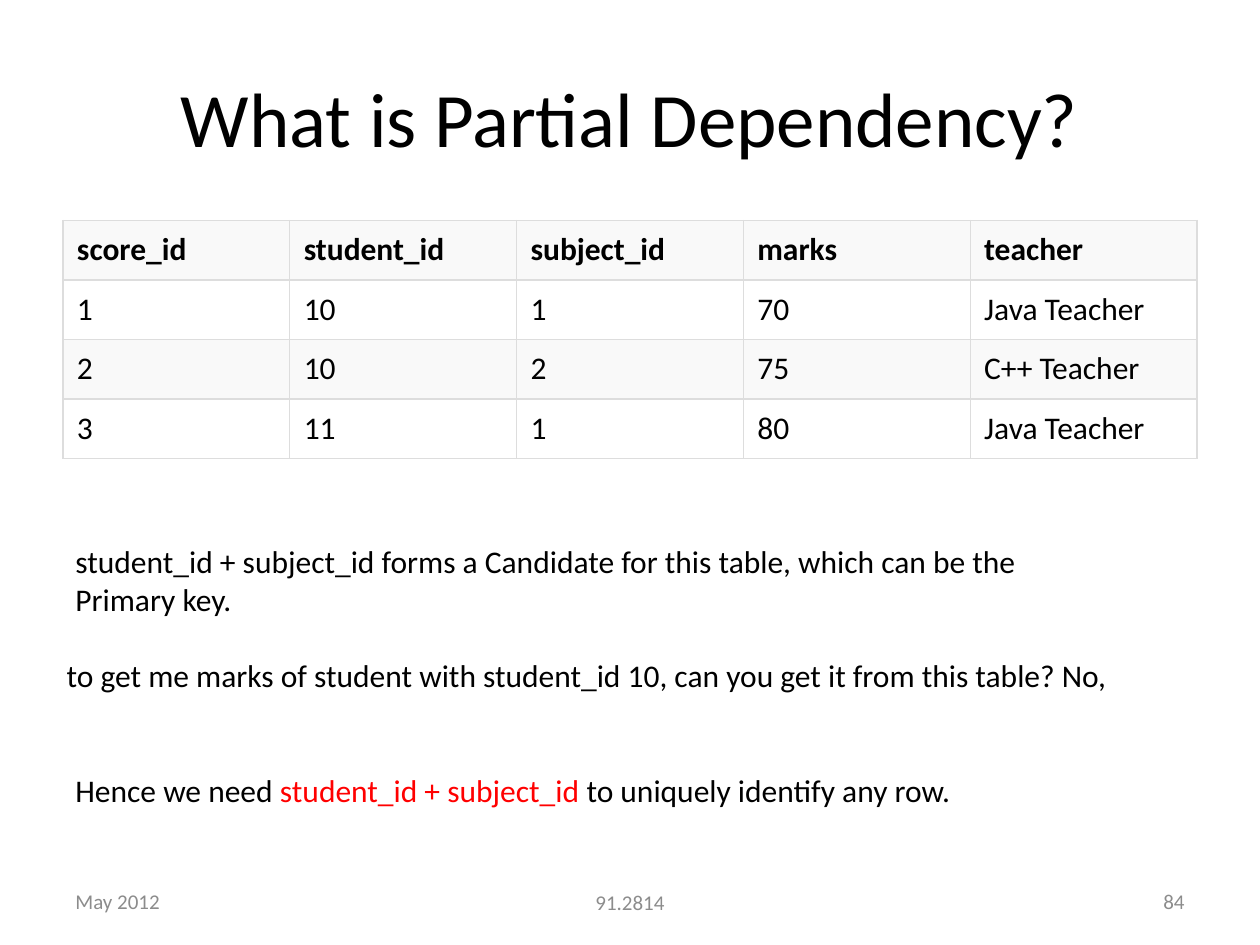
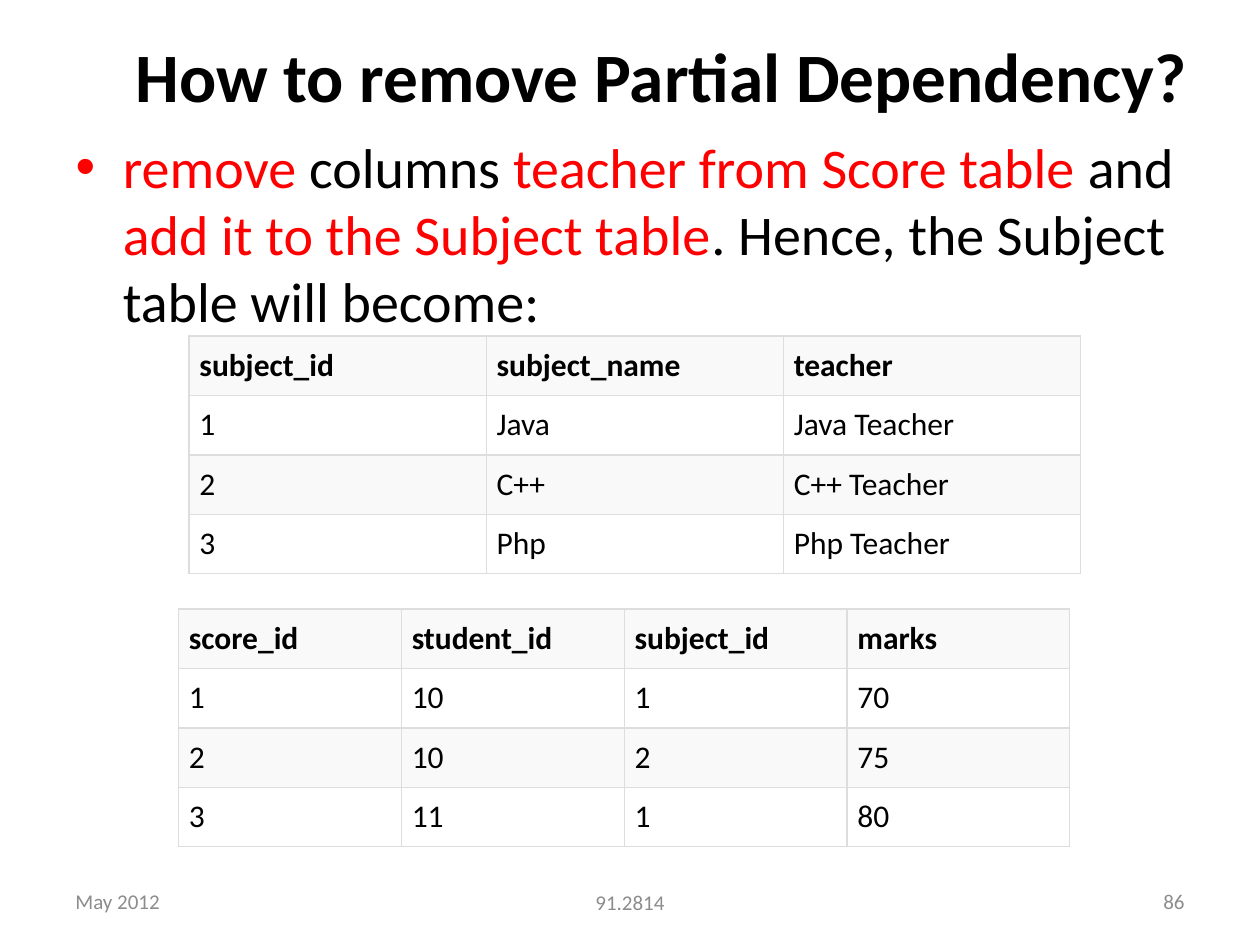
from lxml import etree
from pptx import Presentation
from pptx.dml.color import RGBColor
from pptx.enum.text import MSO_ANCHOR as Anchor, MSO_AUTO_SIZE as AutoSize, PP_ALIGN as Align
from pptx.oxml.ns import qn
from pptx.util import Pt

BLACK = RGBColor(0x00, 0x00, 0x00)
RED = RGBColor(0xFF, 0x00, 0x00)
WHITE = RGBColor(0xFF, 0xFF, 0xFF)
BAND = RGBColor(0xF9, 0xF9, 0xF9)
BORDER = RGBColor(0xDD, 0xDD, 0xDD)
FOOTER_GRAY = RGBColor(0x8C, 0x8C, 0x8C)
FONT = "Calibri"
ROW_HEIGHT = 34
CELL_MARGIN = 6
TITLE_ONLY, TITLE_AND_CONTENT = 5, 1


def place(shape, box):
    shape.left, shape.top, shape.width, shape.height = map(Pt, box)


def write_runs(paragraph, pieces, size, bold=False, align=Align.LEFT):
    paragraph.alignment = align
    paragraph.space_before = Pt(0)
    for text, color in pieces:
        run = paragraph.add_run()
        run.text = text
        run.font.name = FONT
        run.font.size = Pt(size)
        run.font.bold = bold
        run.font.color.rgb = color


def fill_frame(shape, pieces, size, bold=False, align=Align.LEFT, anchor=Anchor.TOP):
    frame = shape.text_frame
    frame.word_wrap = True
    frame.auto_size = AutoSize.NONE
    frame.vertical_anchor = anchor
    write_runs(frame.paragraphs[0], pieces, size, bold, align)


def add_text(slide, box, pieces, size, align=Align.LEFT, anchor=Anchor.TOP):
    shape = slide.shapes.add_textbox(*map(Pt, box))
    fill_frame(shape, pieces, size, align=align, anchor=anchor)


def set_title(slide, box, text, size, bold=False):
    title = slide.shapes.title
    place(title, box)
    fill_frame(title, [(text, BLACK)], size, bold, Align.CENTER, Anchor.MIDDLE)
    title.text_frame.margin_top = title.text_frame.margin_bottom = 0


def add_footer(slide, number):
    for left, top, width, text, align in (
        (36, 500.4, 168, "May 2012", Align.LEFT),
        (246, 501.1, 228, "91.2814", Align.CENTER),
        (516, 500.4, 168, str(number), Align.RIGHT),
    ):
        add_text(slide, (left, top, width, 28.8), [(text, FOOTER_GRAY)], 12, align, Anchor.MIDDLE)


def add_borders(cell):
    properties = cell._tc.get_or_add_tcPr()
    for index, side in enumerate(("a:lnL", "a:lnR", "a:lnT", "a:lnB")):
        line = etree.Element(qn(side), w=str(Pt(0.75)))
        fill = etree.SubElement(line, qn("a:solidFill"))
        etree.SubElement(fill, qn("a:srgbClr"), val=str(BORDER))
        properties.insert(index, line)


def add_data_table(slide, left, top, width, rows, side_margin=CELL_MARGIN):
    columns = len(rows[0])
    frame = slide.shapes.add_table(
        len(rows), columns, Pt(left), Pt(top), Pt(width), Pt(ROW_HEIGHT * len(rows))
    )
    table = frame.table
    for column in table.columns:
        column.width = Pt(width / columns)
    for row_index, values in enumerate(rows):
        for column_index, value in enumerate(values):
            cell = table.cell(row_index, column_index)
            cell.margin_left = cell.margin_right = Pt(side_margin)
            cell.margin_top = cell.margin_bottom = Pt(CELL_MARGIN)
            cell.fill.solid()
            cell.fill.fore_color.rgb = WHITE if row_index % 2 else BAND
            add_borders(cell)
            write_runs(cell.text_frame.paragraphs[0], [(value, BLACK)], 18, row_index == 0)


SCORES = [
    ("score_id", "student_id", "subject_id", "marks"),
    ("1", "10", "1", "70"),
    ("2", "10", "2", "75"),
    ("3", "11", "1", "80"),
]
SCORE_TEACHERS = ("teacher", "Java Teacher", "C++ Teacher", "Java Teacher")
SUBJECTS = [
    ("subject_id", "subject_name", "teacher"),
    ("1", "Java", "Java Teacher"),
    ("2", "C++", "C++ Teacher"),
    ("3", "Php", "Php Teacher"),
]


def build_definition_slide(presentation):
    slide = presentation.slides.add_slide(presentation.slide_layouts[TITLE_ONLY])
    set_title(slide, (36, 21.6, 648, 90), "What is Partial Dependency?", 44)
    scores_with_teacher = [row + (name,) for row, name in zip(SCORES, SCORE_TEACHERS)]
    add_data_table(slide, 36, 126, 648, scores_with_teacher, side_margin=8)
    add_footer(slide, 84)
    notes = (
        (36, 600, [("student_id + subject_id forms a Candidate for this table, "
                    "which can be the Primary key.", BLACK)]),
        (31, 641, [("to get me marks of student with student_id 10, "
                    "can you get it from this table? No,", BLACK)]),
        (36, 666, [("Hence we need ", BLACK), ("student_id + subject_id ", RED),
                   ("to uniquely identify any row.", BLACK)]),
    )
    for index, (left, width, pieces) in enumerate(notes):
        add_text(slide, (left, 306 + 65.5 * index, width, 65.5), pieces, 18)


def build_removal_slide(presentation):
    slide = presentation.slides.add_slide(presentation.slide_layouts[TITLE_AND_CONTENT])
    set_title(slide, (36, 18, 684, 49), "How to remove Partial Dependency?", 39.6, bold=True)
    body = slide.placeholders[1]
    place(body, (36, 72, 648, 410.4))
    fill_frame(body, [
        ("remove ", RED),
        ("columns ", BLACK),
        ("teacher from Score table ", RED),
        ("and ", BLACK),
        ("add it to the Subject table", RED),
        (". Hence, the Subject table will become:", BLACK),
    ], 32)
    add_footer(slide, 86)
    add_data_table(slide, 108, 192, 509.4, SUBJECTS)
    add_data_table(slide, 102, 348, 509.4, SCORES)


def main():
    presentation = Presentation()
    presentation.slide_width, presentation.slide_height = Pt(720), Pt(540)
    build_definition_slide(presentation)
    build_removal_slide(presentation)
    presentation.save("out.pptx")


if __name__ == "__main__":
    main()
